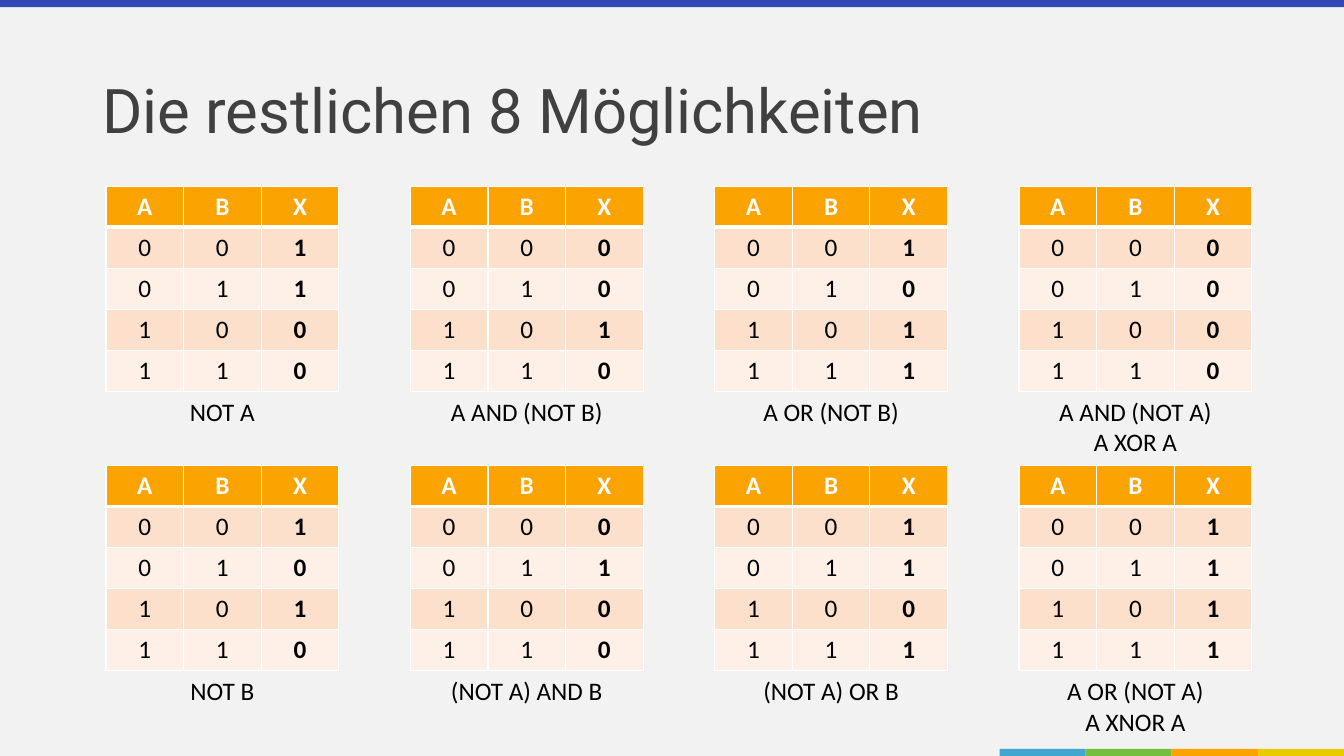
from itertools import product

from lxml.etree import SubElement
from pptx import Presentation
from pptx.dml.color import RGBColor
from pptx.enum.shapes import MSO_SHAPE
from pptx.enum.text import MSO_ANCHOR, MSO_AUTO_SIZE, PP_ALIGN
from pptx.oxml.ns import qn
from pptx.util import Cm, Pt

BACKGROUND = RGBColor(0xF2, 0xF2, 0xF2)
BLUE = RGBColor(0x32, 0x48, 0xB5)
SKY = RGBColor(0x41, 0xA7, 0xD1)
GREEN = RGBColor(0x74, 0xBF, 0x3D)
ORANGE = RGBColor(0xFB, 0xA3, 0x00)
YELLOW = RGBColor(0xE8, 0xCC, 0x00)
PEACH = RGBColor(0xFD, 0xE0, 0xCC)
CREAM = RGBColor(0xFE, 0xF0, 0xE7)
WHITE = RGBColor(0xFF, 0xFF, 0xFF)
BLACK = RGBColor(0x00, 0x00, 0x00)
GREY = RGBColor(0x40, 0x40, 0x40)

SLIDE_WIDTH, SLIDE_HEIGHT = 33.87, 19.05
STRIPE_HEIGHT = 0.18
STRIPE_WIDTH = 2.17
GRID_LEFT, GRID_TOP = 2.67, 4.69
COLUMN_PITCH, ROW_PITCH = 7.67, 7.04
TRUTH_TABLE_WIDTH, TRUTH_TABLE_HEIGHT = 5.87, 5.17

INPUTS = list(product("01", repeat=2))
FUNCTIONS = [
    [
        ("NOT A", "1100"),
        ("A AND (NOT B)", "0010"),
        ("A OR (NOT B)", "1011"),
        ("A AND (NOT A)\nA XOR A", "0000"),
    ],
    [
        ("NOT B", "1010"),
        ("(NOT A) AND B", "0100"),
        ("(NOT A) OR B", "1101"),
        ("A OR (NOT A)\nA XNOR A", "1111"),
    ],
]


def write(frame, text, size=18, font="Calibri", color=BLACK, bold=False,
          align=PP_ALIGN.CENTER, spacing=None):
    paragraph = frame.paragraphs[0]
    paragraph.text = text
    paragraph.alignment = align
    paragraph.line_spacing = spacing
    for run in paragraph.runs:
        run.font.size = Pt(size)
        run.font.name = font
        run.font.color.rgb = color
        run.font.bold = bold


def add_stripe(slide, left, top, width, color):
    stripe = slide.shapes.add_shape(
        MSO_SHAPE.RECTANGLE, Cm(left), Cm(top), Cm(width), Cm(STRIPE_HEIGHT))
    stripe.shadow.inherit = False
    stripe.fill.solid()
    stripe.fill.fore_color.rgb = color
    stripe.line.fill.background()


def add_stripes(slide):
    add_stripe(slide, 0, 0, SLIDE_WIDTH, BLUE)
    accents = [SKY, GREEN, ORANGE, YELLOW]
    first_left = SLIDE_WIDTH - len(accents) * STRIPE_WIDTH
    for index, color in enumerate(accents):
        add_stripe(slide, first_left + index * STRIPE_WIDTH,
                   SLIDE_HEIGHT - STRIPE_HEIGHT, STRIPE_WIDTH, color)


def add_title(slide, left, top, width, height):
    title = slide.shapes.add_textbox(Cm(left), Cm(top), Cm(width), Cm(height))
    title.text_frame.word_wrap = True
    title.text_frame.vertical_anchor = MSO_ANCHOR.MIDDLE
    write(title.text_frame, "Die restlichen 8 Möglichkeiten", size=44,
          font="Roboto", color=GREY, align=PP_ALIGN.LEFT, spacing=0.9)


def set_borders(cell, **points):
    properties = cell._tc.get_or_add_tcPr()
    for side in "LRTB":
        border = SubElement(properties, qn(f"a:ln{side}"),
                            w=str(Pt(points.get(side, 1))))
        fill = SubElement(border, qn("a:solidFill"))
        SubElement(fill, qn("a:srgbClr"), val=str(WHITE))


def add_truth_table(slide, left, top, width, height, outputs):
    rows = [("A", "B", "X")]
    rows += [(a, b, x) for (a, b), x in zip(INPUTS, outputs)]
    table = slide.shapes.add_table(
        len(rows), 3, Cm(left), Cm(top), Cm(width), Cm(height)).table
    for row, values in enumerate(rows):
        header = row == 0
        for column, value in enumerate(values):
            cell = table.cell(row, column)
            set_borders(cell, T=3 if row == 1 else 1, B=3 if header else 1)
            cell.fill.solid()
            cell.fill.fore_color.rgb = (
                ORANGE if header else PEACH if row % 2 else CREAM)
            write(cell.text_frame, value, color=WHITE if header else BLACK,
                  bold=header or column == 2)


def add_caption(slide, left, top, width, text):
    height = 1.03 + 0.77 * text.count("\n")
    caption = slide.shapes.add_textbox(Cm(left), Cm(top), Cm(width), Cm(height))
    caption.text_frame.word_wrap = True
    caption.text_frame.auto_size = MSO_AUTO_SIZE.SHAPE_TO_FIT_TEXT
    write(caption.text_frame, text)


def add_function_grid(slide, left, top):
    for row, functions in enumerate(FUNCTIONS):
        for column, (formula, outputs) in enumerate(functions):
            x = left + column * COLUMN_PITCH
            y = top + row * ROW_PITCH
            add_truth_table(slide, x, y, TRUTH_TABLE_WIDTH,
                            TRUTH_TABLE_HEIGHT, outputs)
            add_caption(slide, x, y + TRUTH_TABLE_HEIGHT,
                        TRUTH_TABLE_WIDTH, formula)


def main():
    presentation = Presentation()
    presentation.slide_width = Cm(SLIDE_WIDTH)
    presentation.slide_height = Cm(SLIDE_HEIGHT)
    slide = presentation.slides.add_slide(presentation.slide_layouts[6])
    slide.background.fill.solid()
    slide.background.fill.fore_color.rgb = BACKGROUND
    add_stripes(slide)
    add_title(slide, 2.33, 1.01, 29.21, 3.68)
    add_function_grid(slide, GRID_LEFT, GRID_TOP)
    presentation.save("out.pptx")


if __name__ == "__main__":
    main()
